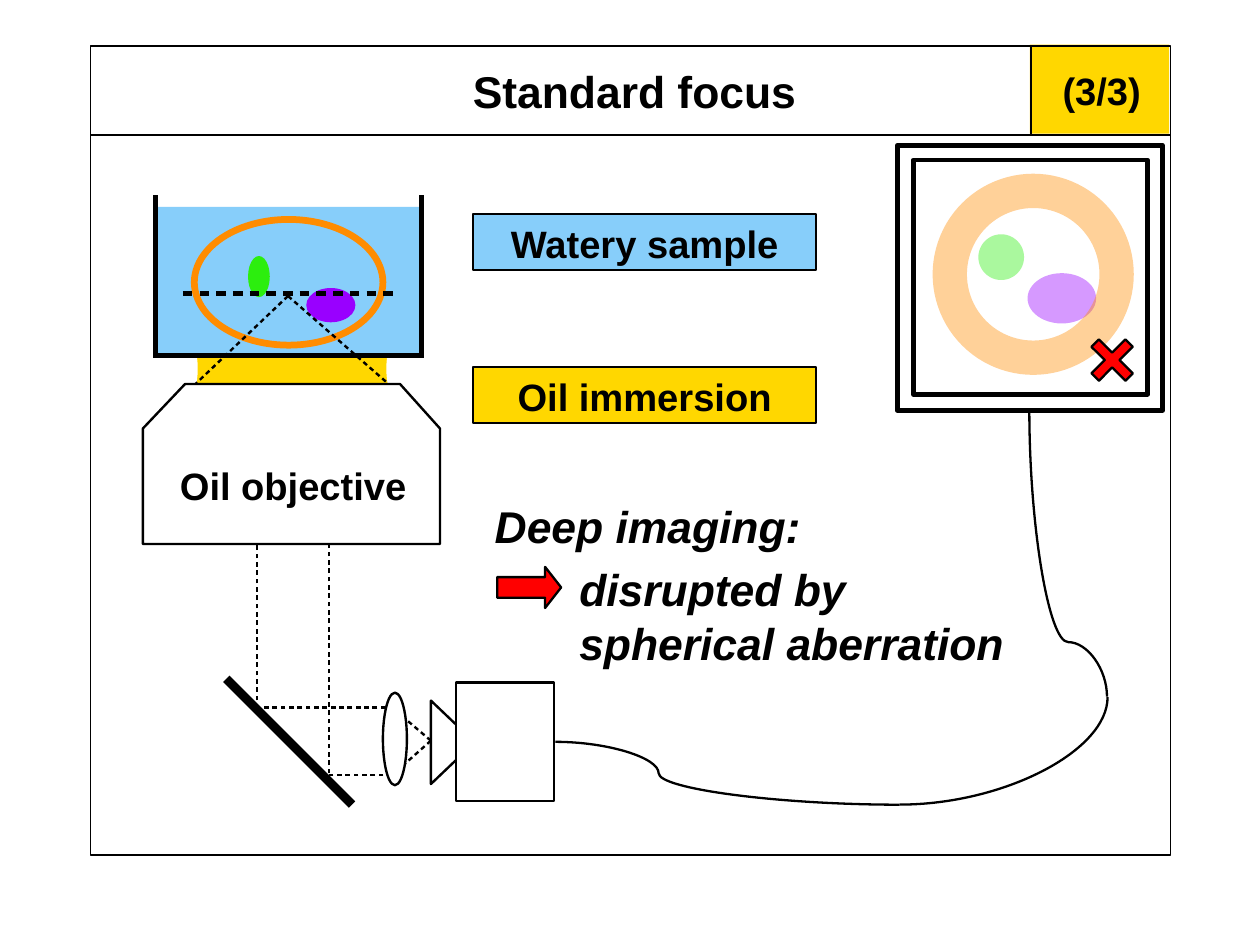
from lxml import etree
from pptx import Presentation
from pptx.dml.color import RGBColor
from pptx.enum.shapes import MSO_CONNECTOR as Link, MSO_SHAPE as Shape
from pptx.enum.text import MSO_ANCHOR as Anchor, MSO_AUTO_SIZE as AutoSize, PP_ALIGN as Align
from pptx.oxml.ns import qn
from pptx.util import Inches, Pt

BLACK = RGBColor(0, 0, 0)
WHITE = RGBColor(255, 255, 255)
GOLD = RGBColor(0xFF, 0xD7, 0x00)
WATER = RGBColor(0x87, 0xCE, 0xFA)
ORANGE = RGBColor(0xFF, 0x8C, 0x00)
GREEN = RGBColor(0x2C, 0xEE, 0x0E)
PURPLE = RGBColor(0x99, 0x00, 0xFF)
RED = RGBColor(255, 0, 0)

FONT = "Arial"
THIN = 1.5
OUTLINE = 1.45
FADED = 40
CM_PER_INCH = 2.54


def inches(*values):
    return [Inches(value) for value in values]


def set_alpha(fill_parent, percent):
    color = fill_parent.find(qn("a:solidFill"))[0]
    etree.SubElement(color, qn("a:alpha")).set("val", str(percent * 1000))


def set_dashes(line, dash=200, gap=150):
    dashes = etree.SubElement(line.line._get_or_add_ln(), qn("a:custDash"))
    stop = etree.SubElement(dashes, qn("a:ds"))
    stop.set("d", str(dash * 1000))
    stop.set("sp", str(gap * 1000))


def paint(shape, fill=None, line=None, width=THIN, alpha=None):
    shape.shadow.inherit = False
    if fill is None:
        shape.fill.background()
    else:
        shape.fill.solid()
        shape.fill.fore_color.rgb = fill
        if alpha:
            set_alpha(shape._element.spPr, alpha)
    if line is None:
        shape.line.fill.background()
    else:
        shape.line.color.rgb = line
        shape.line.width = Pt(width)
        if alpha:
            set_alpha(shape.line._get_or_add_ln(), alpha)
    return shape


def add_shape(page, kind, place, **style):
    return paint(page.shapes.add_shape(kind, *inches(*place)), **style)


def add_outline(page, points, close=True, **style):
    corners = [inches(*point) for point in points]
    builder = page.shapes.build_freeform(*corners[0], scale=1.0)
    builder.add_line_segments(corners[1:], close=close)
    return paint(builder.convert_to_shape(), **style)


def add_line(page, start, end, width=THIN, dashed=False, kind=Link.STRAIGHT):
    line = page.shapes.add_connector(kind, *inches(*start, *end))
    line.line.color.rgb = BLACK
    line.line.width = Pt(width)
    if dashed:
        set_dashes(line)
    etree.SubElement(line._element.spPr, qn("a:effectLst"))
    return line


def add_cable(page, start, end, preset, bend=None, rotation=0):
    properties = add_line(page, start, end, OUTLINE, kind=Link.CURVE)._element.spPr
    geometry = properties.find(qn("a:prstGeom"))
    geometry.set("prst", preset)
    if bend is not None:
        guide = etree.SubElement(geometry.find(qn("a:avLst")), qn("a:gd"))
        guide.set("name", "adj1")
        guide.set("fmla", f"val {round(bend * 100000)}")
    if rotation:
        properties.find(qn("a:xfrm")).set("rot", str(rotation * 60000))


def write(shape, text, size, align=Align.LEFT, italic=False, inset=(0.1, 0.05)):
    frame = shape.text_frame
    frame.text = text
    frame.word_wrap = True
    frame.auto_size = AutoSize.NONE
    frame.vertical_anchor = Anchor.TOP
    frame.margin_left = frame.margin_right = Inches(inset[0])
    frame.margin_top = frame.margin_bottom = Inches(inset[1])
    para = frame.paragraphs[0]
    para.alignment = align
    font = para.runs[0].font
    font.name, font.size = FONT, Pt(size)
    font.bold, font.italic = True, italic
    font.color.rgb = BLACK


def add_text(page, place, text, size, **style):
    write(page.shapes.add_textbox(*inches(*place)), text, size, **style)


def add_label(page, top, text, fill):
    label = add_shape(page, Shape.RECTANGLE, (4.14, top, 3, 0.49),
                      fill=fill, line=BLACK, width=OUTLINE)
    write(label, text, 24, align=Align.CENTER, inset=(0.11, 0.06))


def draw_header(page):
    add_shape(page, Shape.RECTANGLE, (9.01, 0.39, 1.22, 0.78), fill=GOLD)
    add_shape(page, Shape.RECTANGLE, (0.79, 0.4, 9.45, 7.08), line=BLACK, width=1)
    add_line(page, (0.79, 1.18), (10.24, 1.18))
    add_line(page, (9.02, 1.18), (9.02, 0.39))
    title = page.shapes.title
    title.left, title.top, title.width, title.height = inches(1.4, 0.51, 8.3, 0.84)
    write(title, "Standard focus", 28, align=Align.CENTER)
    add_text(page, (9.13, 0.54, 0.95, 0.84), "(3/3)", 24, align=Align.RIGHT)


def draw_sample(page):
    # Oil drop, its sides hollowed by two white circles
    add_shape(page, Shape.RECTANGLE, (1.64, 2.95, 1.86, 0.95), fill=GOLD)
    for left in (0.11, 3.38):
        add_shape(page, Shape.OVAL, (left, 2.43, 1.62, 1.59), fill=WHITE)
    # Water tank
    add_shape(page, Shape.RECTANGLE, (1.36, 1.81, 2.32, 1.28), fill=WATER)
    add_line(page, (1.34, 3.11), (3.71, 3.11), 2.89)
    for wall in (1.36, 3.69):
        add_line(page, (wall, 3.1), (wall, 1.71), 2.89)
    # Cell
    add_shape(page, Shape.OVAL, (2.17, 2.24, 0.19, 0.36), fill=GREEN)
    add_shape(page, Shape.OVAL, (1.7, 1.92, 1.65, 1.1), line=ORANGE, width=4.25)
    add_shape(page, Shape.OVAL, (2.68, 2.52, 0.43, 0.3), fill=PURPLE)


def draw_light_path(page):
    # Beam from objective to mirror to lens
    for x, bottom in ((2.25, 6.2), (2.88, 6.84)):
        add_line(page, (x, bottom), (x, 4.55), dashed=True)
    add_line(page, (3.52, 6.19), (2.21, 6.19), dashed=True)
    add_line(page, (3.5, 6.78), (2.88, 6.78), dashed=True)
    add_line(page, (1.98, 5.94), (3.08, 7.04), 5.67)
    # Objective
    add_outline(page, [(1.62, 3.36), (3.5, 3.36), (3.85, 3.75), (3.85, 4.76),
                       (1.25, 4.76), (1.25, 3.75)], fill=WHITE, line=BLACK)
    add_text(page, (0.89, 4, 3.35, 0.84), "Oil objective", 24, align=Align.CENTER)
    # Focus and focal plane
    for x in (1.71, 3.4):
        add_line(page, (2.52, 2.59), (x, 3.36), dashed=True)
    add_line(page, (1.6, 2.57), (3.48, 2.57), 3, dashed=True)


def draw_camera(page):
    add_shape(page, Shape.RECTANGLE, (3.99, 5.97, 0.86, 1.04), line=BLACK)
    add_outline(page, [(3.99, 6.34), (3.77, 6.13), (3.77, 6.86), (3.99, 6.65)],
                close=False, line=BLACK)
    for y in (6.72, 6.25):
        add_line(page, (3.77, 6.48), (3.5, y), dashed=True)
    add_shape(page, Shape.OVAL, (3.35, 6.06, 0.21, 0.81), fill=WHITE, line=BLACK)


def draw_monitor(page):
    add_shape(page, Shape.RECTANGLE, (7.99, 1.4, 2.05, 2.05), line=BLACK, width=2.83)
    add_shape(page, Shape.RECTANGLE, (7.85, 1.27, 2.32, 2.32), line=BLACK, width=3)
    # Blurred cell
    add_shape(page, Shape.OVAL, (8.99, 2.39, 0.6, 0.44), fill=PURPLE, alpha=FADED)
    add_shape(page, Shape.OVAL, (8.31, 1.67, 1.46, 1.46),
              line=ORANGE, width=21.6, alpha=FADED)
    add_shape(page, Shape.OVAL, (8.56, 2.05, 0.4, 0.4), fill=GREEN, alpha=FADED)
    cross = add_shape(page, Shape.CROSS, (9.52, 2.94, 0.42, 0.42),
                      fill=RED, line=BLACK, width=OUTLINE)
    cross.adjustments[0] = 0.39
    cross.rotation = 315
    # Cable from camera to monitor; the upright piece is laid flat, then turned
    add_cable(page, (4.86, 6.49), (7.87, 7.04), "curvedConnector3", bend=0.3)
    add_cable(page, (7.87, 7.04), (9.69, 6.1), "curvedConnector2")
    add_cable(page, (8.09, 5.18), (10.6, 4.5), "curvedConnector3", bend=0.19, rotation=270)


def draw_message(page):
    add_label(page, 1.87, "Watery sample", WATER)
    add_label(page, 3.21, "Oil immersion", GOLD)
    add_text(page, (4.23, 4.32, 3.05, 0.58), "Deep imaging:", 28, italic=True)
    add_text(page, (4.97, 4.87, 4.2, 0.98), "disrupted by spherical aberration", 28, italic=True)
    arrow = add_shape(page, Shape.RIGHT_ARROW, (4.35, 4.96, 0.56, 0.36),
                      fill=RED, line=BLACK, width=OUTLINE)
    arrow.adjustments[1] = 0.39


def main():
    deck = Presentation()
    # Page of 28 by 21 centimetres
    deck.slide_width, deck.slide_height = inches(28 / CM_PER_INCH, 21 / CM_PER_INCH)
    page = deck.slides.add_slide(deck.slide_layouts[5])
    draw_sample(page)
    draw_header(page)
    draw_light_path(page)
    draw_camera(page)
    draw_monitor(page)
    draw_message(page)
    deck.save("out.pptx")


if __name__ == "__main__":
    main()
